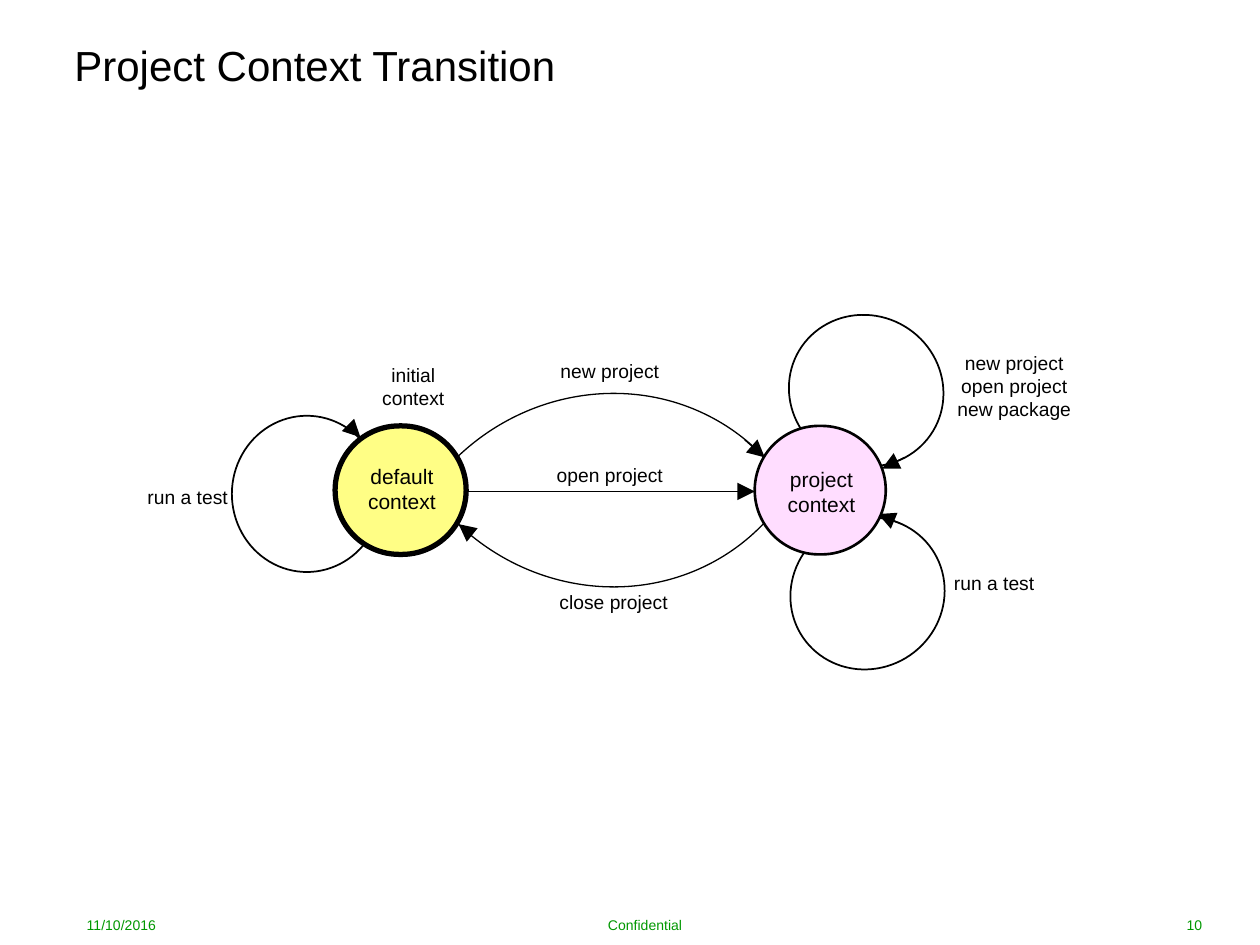
from lxml import etree
from pptx import Presentation
from pptx.dml.color import RGBColor
from pptx.enum.shapes import MSO_CONNECTOR, MSO_SHAPE
from pptx.enum.text import MSO_ANCHOR, PP_ALIGN
from pptx.oxml.ns import qn
from pptx.util import Inches, Pt

LEFT, MID, RIGHT = PP_ALIGN.LEFT, PP_ALIGN.CENTER, PP_ALIGN.RIGHT
TOP, CORE = MSO_ANCHOR.TOP, MSO_ANCHOR.MIDDLE
ARC, OVAL, ROUND = MSO_SHAPE.ARC, MSO_SHAPE.OVAL, MSO_SHAPE.ROUNDED_RECTANGLE
STRAIGHT = MSO_CONNECTOR.STRAIGHT

BLACK = RGBColor(0x00, 0x00, 0x00)
GREEN = RGBColor(0x00, 0x98, 0x00)
YELLOW = RGBColor(0xFF, 0xFE, 0x85)
PINK = RGBColor(0xFF, 0xDD, 0xFF)

WIDE, HIGH = Inches(10), Inches(7.5)
COL, ROW = WIDE // 100, HIGH // 75


def place(box, x, y, w, h):
    return (int((box[0] + x) * COL), int((box[1] + y) * ROW),
            int(w * COL), int(h * ROW))


def write(frame, text, size, color, align, anchor, inset=True):
    frame.text = text
    frame.vertical_anchor = anchor
    if not inset:
        frame.margin_left = frame.margin_right = 0
        frame.margin_top = frame.margin_bottom = 0
    for para in frame.paragraphs:
        para.alignment = align
        for run in para.runs:
            run.font.name = "Arial"
            run.font.size = Pt(size)
            run.font.color.rgb = color


def outline(item, width):
    item.line.color.rgb = BLACK
    item.line.width = Pt(width)


def shape(group, box, kind, at, width, fill=None, turn=0, flip=None):
    item = group.shapes.add_shape(kind, *place(box, *at))
    item.shadow.inherit = False
    outline(item, width)
    if fill is None:
        item.fill.background()
    else:
        item.fill.solid()
        item.fill.fore_color.rgb = fill
    item.rotation = turn
    if flip:
        item._element.spPr.find(qn("a:xfrm")).set(flip, "1")
    return item


def arrow(group, box, start, end):
    x1, y1 = place(box, *start, 0, 0)[:2]
    x2, y2 = place(box, *end, 0, 0)[:2]
    item = group.shapes.add_connector(STRAIGHT, x1, y1, x2, y2)
    outline(item, 0.75)
    etree.SubElement(item.line._get_or_add_ln(), qn("a:tailEnd"),
                     type="triangle", w="lg", len="lg")
    etree.SubElement(item._element.spPr, qn("a:effectLst"))


def label(group, box, mid, y, text, w=9.8, h=3.7, size=11, anchor=CORE):
    item = group.shapes.add_textbox(*place(box, mid - w / 2, y, w, h))
    item.text_frame.word_wrap = False
    write(item.text_frame, text, size, BLACK, MID, anchor, inset=False)


def node(group, box, x, text, drop, fill, width):
    item = shape(group, box, ROUND, (x, 23.8, 10.4, 10.2), width, fill)
    item.adjustments[0] = 0.5
    label(group, box, x + 5.3, 23.8 + drop, text, 6.7, 4.9, 12, TOP)


def diagram(slide, box):
    group = slide.shapes.add_group_shape()
    for y, turn, flip in ((21.6, 316.6, None), (2.7, 43.4, "flipV")):
        shape(group, box, ARC, (20.35, y, 35.1, 33.5), 0.75, None, turn, flip)
    for x, y, turn, flip in ((52.8, 14.8, 121, "flipH"),
                             (52.9, 30.9, 55.5, None),
                             (8.4, 23, 0, None)):
        shape(group, box, OVAL, (x, y, 11.9, 12.4), 1, None, turn, flip)
    for start, end in (((61.8, 26.3), (60, 27.2)),
                       ((61.6, 31.6), (59.7, 30.8))):
        arrow(group, box, start, end)
    node(group, box, 16.6, "default\ncontext", 3, YELLOW, 3)
    node(group, box, 49.9, "project\ncontext", 3.2, PINK, 1.5)
    for start, end in (((27, 29), (49.9, 29)),
                       ((49.1, 24.9), (50.7, 26.3)),
                       ((27.4, 32.4), (26.4, 31.6)),
                       ((17.7, 23.8), (18.6, 24.7))):
        arrow(group, box, start, end)
    for mid, y, text in ((4.9, 27.6, "run a test"),
                         (68.9, 34.4, "run a test"),
                         (38.4, 25.8, "open project"),
                         (38.4, 17.6, "new project"),
                         (70.5, 18.8, "new project\nopen project\nnew package"),
                         (38.7, 35.9, "close project"),
                         (22.8, 18.8, "initial\ncontext")):
        label(group, box, mid, y, text)


def heading(slide, box):
    title = slide.shapes.title
    title.left, title.top, title.width, title.height = place(box, 0, 0, 70.9, 6.3)
    write(title.text_frame, "Project Context Transition", 24, BLACK, LEFT, CORE,
          inset=False)


def footer(slide, box):
    for x, w, text, align in ((0, 15.7, "11/10/2016", LEFT),
                              (19.7, 51.2, "Confidential", MID),
                              (74.8, 15.7, "10", RIGHT)):
        item = slide.shapes.add_textbox(*place(box, x, 0, w, 2))
        item.text_frame.word_wrap = True
        write(item.text_frame, text, 8, GREEN, align, CORE)


deck = Presentation()
deck.slide_width, deck.slide_height = WIDE, HIGH
page = deck.slides.add_slide(deck.slide_layouts[5])
heading(page, (5.9, 2))
footer(page, (5.9, 72.4))
diagram(page, (10, 10))
deck.save("out.pptx")
